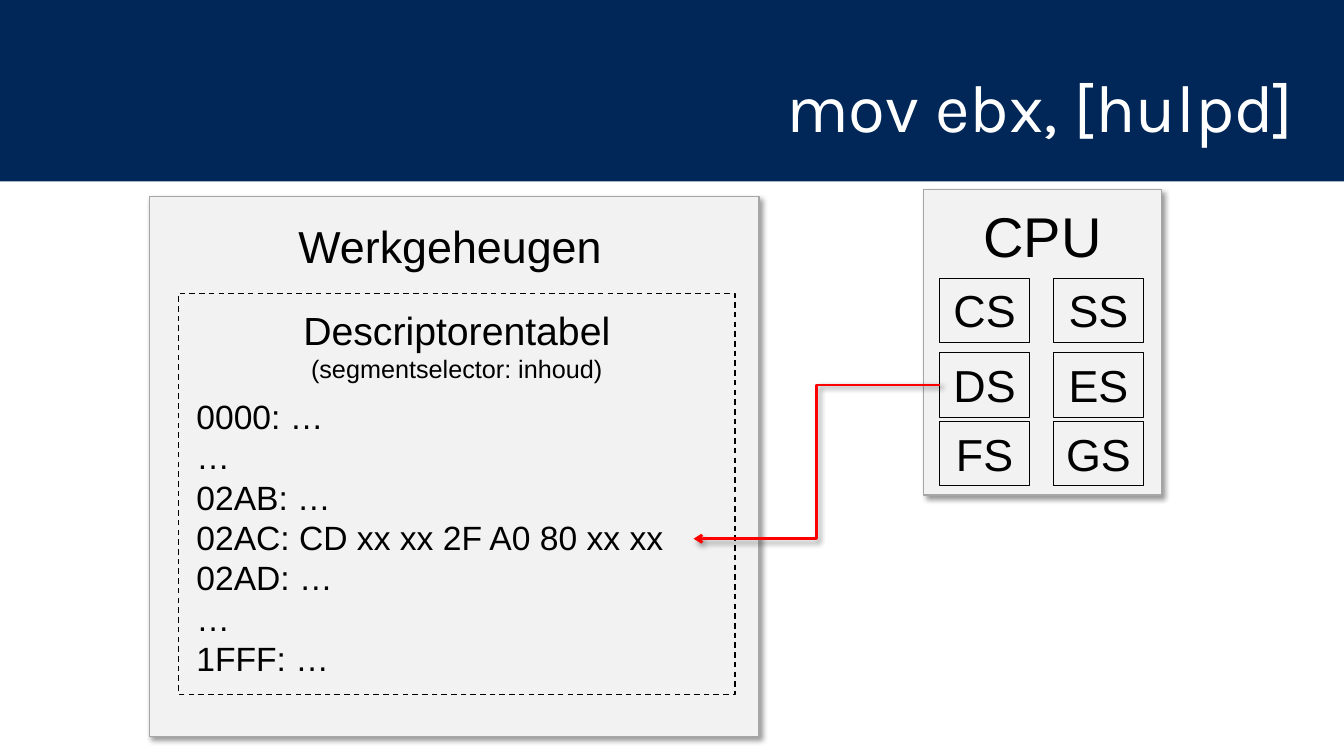
"""Build a slide on how DS selects a segment descriptor in memory."""
import pptx
import pptx.util
import pptx.dml.color
import pptx.enum.dml
import pptx.enum.shapes
import pptx.enum.text
import pptx.oxml
import pptx.oxml.ns

Inches = pptx.util.Inches
Pt = pptx.util.Pt
ALIGN = pptx.enum.text.PP_ALIGN
COLORS = {"navy": "002757", "panel": "F2F2F2", "edge": "A6A6A6",
          "ink": "000000", "arrow": "FF0000", "white": "FFFFFF"}
NS = pptx.oxml.ns.nsdecls("a")
SHADOW = (f'<a:effectLst {NS}><a:outerShdw blurRad="{Pt(4)}" dist="{Pt(3)}" '
          'dir="2700000" algn="tl" rotWithShape="0"><a:srgbClr val="000000">'
          '<a:alpha val="40000"/></a:srgbClr></a:outerShdw></a:effectLst>')
TABLE = ["0000: …", "…", "02AB: …", "02AC: CD xx xx 2F A0 80 xx xx",
         "02AD: …", "…", "1FFF: …"]
REGS = [["CS", "SS"], ["DS", "ES"], ["FS", "GS"]]


def color(name):
    """Return the named colour."""
    return pptx.dml.color.RGBColor.from_string(COLORS[name])


def shade(shape):
    """Give a shape or connector a soft shadow."""
    props = shape._element.spPr
    for old in props.findall(pptx.oxml.ns.qn("a:effectLst")):
        props.remove(old)
    props.append(pptx.oxml.parse_xml(SHADOW))


def write(shape, lines, align=ALIGN.CENTER, font="Arial", ink="ink"):
    """Fill a shape with (text, size) lines."""
    frame = shape.text_frame
    frame.word_wrap = True
    frame.auto_size = pptx.enum.text.MSO_AUTO_SIZE.SHAPE_TO_FIT_TEXT
    frame.vertical_anchor = pptx.enum.text.MSO_ANCHOR.TOP
    for i, (text, size) in enumerate(lines):
        para = frame.add_paragraph() if i else frame.paragraphs[0]
        para.alignment = align
        run = para.add_run()
        run.text = text
        run.font.size = Pt(size)
        run.font.name = font
        run.font.color.rgb = color(ink)
    return frame


def add_box(slide, area, fill=None, line=None, width=1):
    """Add a flat rectangle."""
    box = slide.shapes.add_shape(
        pptx.enum.shapes.MSO_SHAPE.RECTANGLE, *map(Inches, area))
    box.shadow.inherit = False
    if fill:
        box.fill.solid()
        box.fill.fore_color.rgb = color(fill)
    else:
        box.fill.background()
    if line:
        box.line.color.rgb = color(line)
        box.line.width = Pt(width)
    else:
        box.line.fill.background()
    return box


def add_panel(slide, area):
    """Add a grey panel with a shadow."""
    shade(add_box(slide, area, "panel", "edge"))


def add_label(slide, area, lines, align=ALIGN.CENTER):
    """Add a text box."""
    label = slide.shapes.add_textbox(*map(Inches, area))
    write(label, lines, align)
    return label


def add_regs(slide):
    """Add the grid of segment registers and return it by name."""
    cells = {}
    for top, row in zip((2.76, 3.5, 4.18), REGS):
        for col, name in enumerate(row):
            area = (9.32 + 1.13 * col, top, 0.89, 0.64)
            cells[name] = add_box(slide, area, None, "ink", 0.75)
            write(cells[name], [(name, 32)])
    return cells


def add_link(slide, start, end):
    """Add a bent arrow from the left of start to the right of end."""
    link = slide.shapes.add_connector(
        pptx.enum.shapes.MSO_CONNECTOR.ELBOW,
        Inches(9.32), Inches(3.82), Inches(6.88), Inches(5.34))
    link.begin_connect(start, 1)
    link.end_connect(end, 3)
    link.line.color.rgb = color("arrow")
    link.line.width = Pt(2)
    link.line._get_or_add_ln().append(
        pptx.oxml.parse_xml(f'<a:tailEnd {NS} type="arrow"/>'))
    shade(link)


def add_title(slide, text):
    """Add the navy band and its title."""
    add_box(slide, (0, 0, 13.33, 1.8), "navy")
    title = slide.shapes.add_textbox(*map(Inches, (2.05, 0.4, 10.88, 1.4)))
    frame = write(title, [(text, 48)], ALIGN.RIGHT, "Karla", "white")
    frame.auto_size = pptx.enum.text.MSO_AUTO_SIZE.NONE
    frame.vertical_anchor = pptx.enum.text.MSO_ANCHOR.MIDDLE
    frame.paragraphs[0].line_spacing = 0.9


def main():
    """Build and save the slide."""
    deck = pptx.Presentation()
    deck.slide_width, deck.slide_height = Inches(13.33), Inches(7.5)
    slide = deck.slides.add_slide(deck.slide_layouts[6])
    add_title(slide, "mov ebx, [hulpd]")
    add_panel(slide, (1.48, 1.95, 6.05, 5.36))
    add_panel(slide, (9.16, 1.88, 2.36, 3.03))
    add_label(slide, (9.16, 1.95, 2.36, 0.77), [("CPU", 40)])
    add_label(slide, (1.4, 2.12, 6.13, 0.64), [("Werkgeheugen", 32)])
    frame = add_box(slide, (1.77, 2.91, 5.52, 3.98), None, "ink")
    frame.line.dash_style = pptx.enum.dml.MSO_LINE.DASH
    add_label(slide, (1.77, 2.99, 5.52, 0.88),
              [("Descriptorentabel", 28), ("(segmentselector: inhoud)", 18)])
    table = add_label(slide, (1.85, 3.88, 5.03, 2.93),
                      [(text, 24) for text in TABLE], ALIGN.LEFT)
    regs = add_regs(slide)
    add_link(slide, regs["DS"], table)
    deck.save("out.pptx")


if __name__ == "__main__":
    main()
